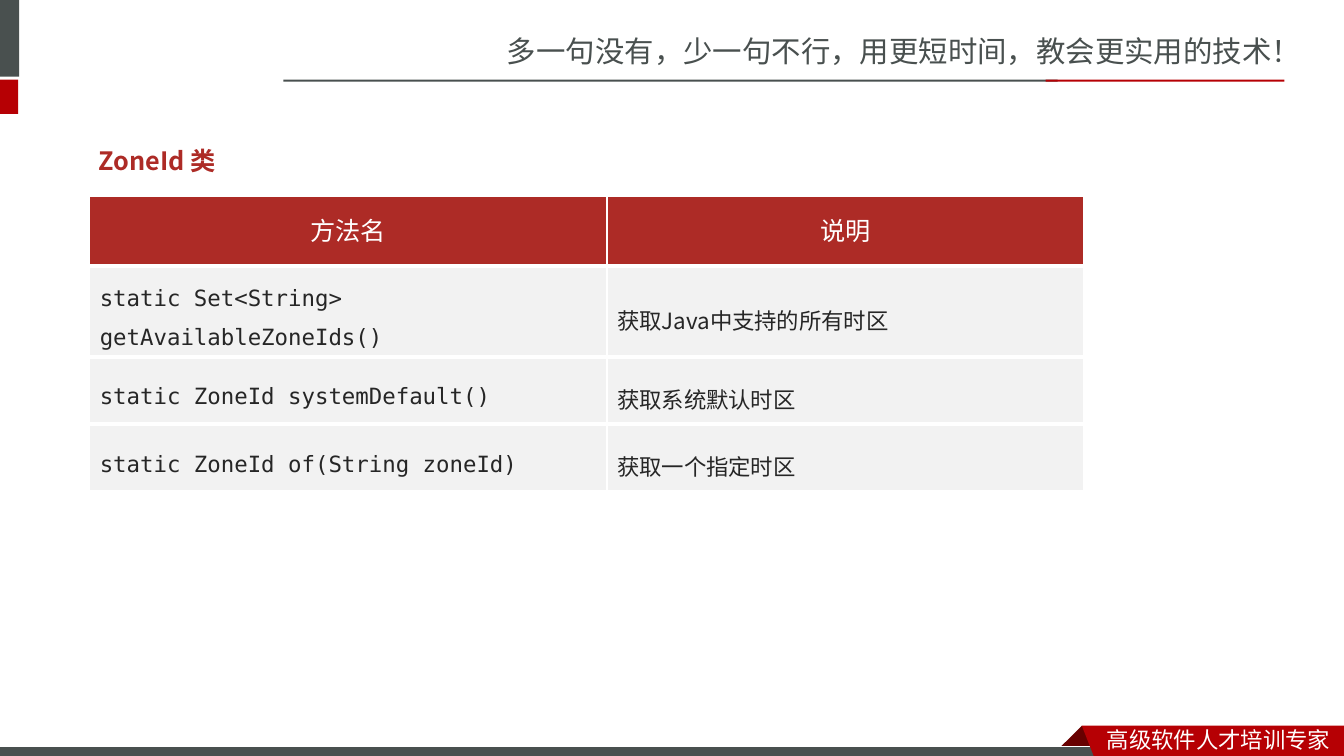
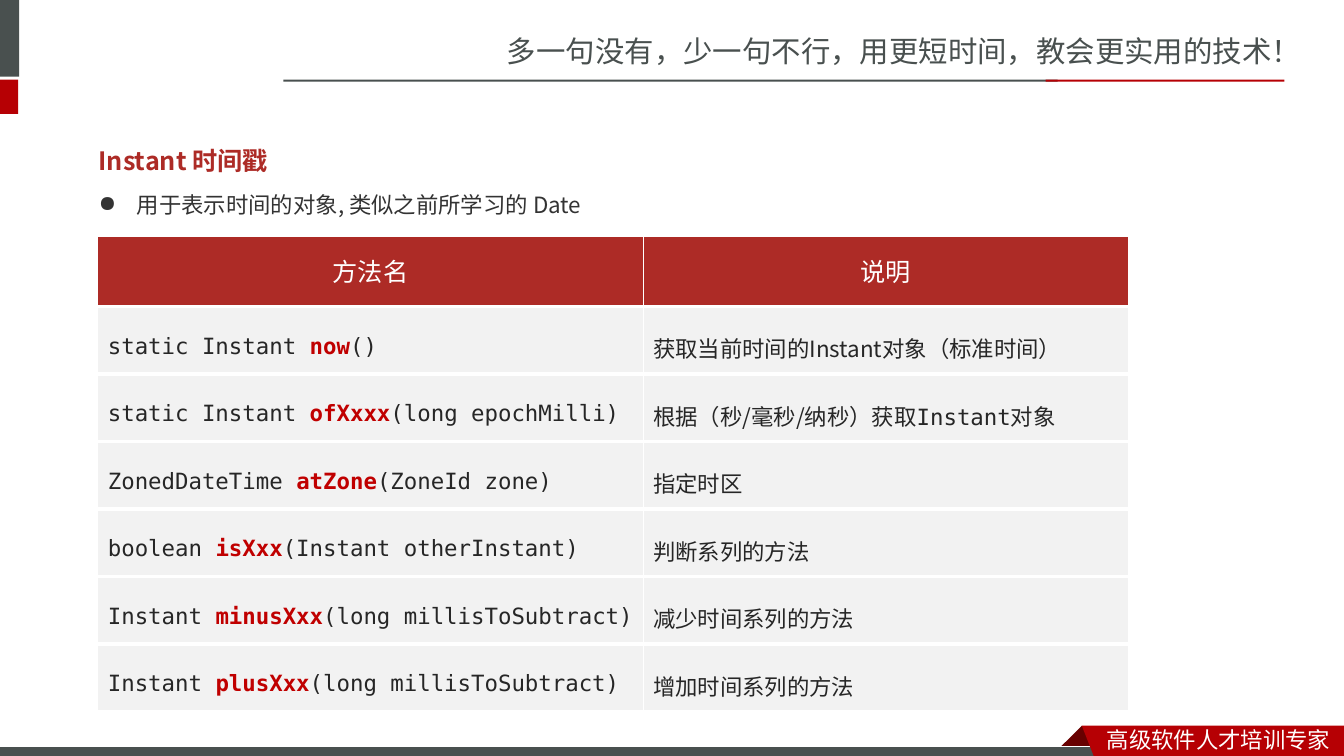
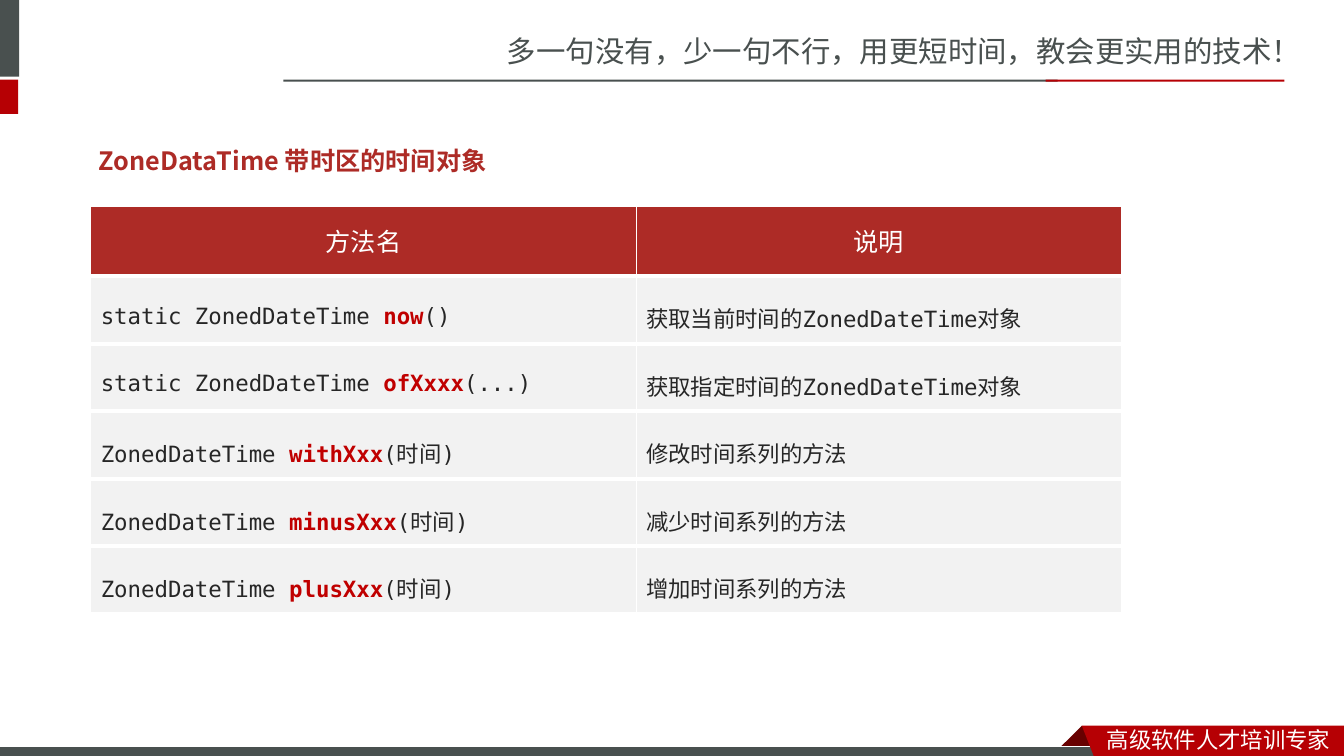
import dataclasses

import lxml.etree
import pptx
import pptx.dml.color
import pptx.enum.shapes
import pptx.enum.text
import pptx.oxml.ns
import pptx.util

Inches = pptx.util.Inches
Pt = pptx.util.Pt
qualified_name = pptx.oxml.ns.qn


@dataclasses.dataclass(frozen=True)
class Style:
    size: float
    font: str
    color: str
    bold: bool = False
    east_asian: str = "Noto Sans CJK JP"


class Theme:
    grey = "49504F"
    red = "B60004"
    dark_red = "680000"
    header_red = "AD2B26"
    row_grey = "F2F2F2"
    white = "FFFFFF"
    slogan = Style(21, "Noto Sans CJK SC", grey, east_asian="Noto Sans CJK SC")
    footer = Style(16, "Noto Sans CJK SC", white, east_asian="Noto Sans CJK SC")
    title = Style(18, "Noto Sans CJK JP", header_red, True)
    bullet = Style(16, "Noto Sans CJK JP", "333333")
    header = Style(18, "Roboto", white, east_asian="Noto Sans CJK SC")
    code = Style(16, "DejaVu Sans Mono", "262626")
    keyword = Style(16, "DejaVu Sans Mono", "C00000", True)
    note = Style(16, "Noto Sans CJK JP", "262626")
    thin_border = 1
    thick_border = 3


@dataclasses.dataclass(frozen=True)
class Box:
    left: float
    top: float
    width: float
    height: float

    def inner(self, left, top, width, height):
        return Box(self.left + left, self.top + top, width, height)

    def lengths(self):
        return [Inches(value) for value in (self.left, self.top, self.width, self.height)]


def rgb(color):
    return pptx.dml.color.RGBColor.from_string(color)


def format_run(run, style):
    run.font.size = Pt(style.size)
    run.font.bold = style.bold
    run.font.name = style.font
    run.font.color.rgb = rgb(style.color)
    latin = run.font._element.find(qualified_name("a:latin"))
    east_asian = lxml.etree.Element(qualified_name("a:ea"), typeface=style.east_asian)
    latin.addnext(east_asian)


def paint(shape, fill, line=None):
    shape.shadow.inherit = False
    shape.fill.solid()
    shape.fill.fore_color.rgb = rgb(fill)
    if line:
        shape.line.color.rgb = rgb(line)
        shape.line.width = Pt(0.75)
    else:
        shape.line.fill.background()


def add_bar(slide, box, fill, line=None):
    rectangle = pptx.enum.shapes.MSO_SHAPE.RECTANGLE
    paint(slide.shapes.add_shape(rectangle, *box.lengths()), fill, line)


def add_outline(slide, box, points, fill):
    corners = [(Inches(box.left + x), Inches(box.top + y)) for x, y in points]
    builder = slide.shapes.build_freeform(*corners[0], scale=1.0)
    builder.add_line_segments(corners[1:], close=True)
    paint(builder.convert_to_shape(), fill)


def add_text(slide, box, text, style, line_spacing=None):
    text_frame = slide.shapes.add_textbox(*box.lengths()).text_frame
    text_frame.word_wrap = True
    text_frame.auto_size = pptx.enum.text.MSO_AUTO_SIZE.SHAPE_TO_FIT_TEXT
    text_frame.text = text
    paragraph = text_frame.paragraphs[0]
    if line_spacing:
        paragraph.line_spacing = line_spacing
    format_run(paragraph.runs[0], style)
    return paragraph


def add_bullet(slide, box, text):
    paragraph = add_text(slide, box, text, Theme.bullet)
    properties = paragraph._p.get_or_add_pPr()
    indent = Inches(0.38)
    properties.set("marL", str(indent))
    properties.set("indent", str(-indent))
    lxml.etree.SubElement(properties, qualified_name("a:buChar"), char="●")


def add_heading_band(slide, box):
    slogan = "多一句没有，少一句不行，用更短时间，教会更实用的技术！"
    add_text(slide, box.inner(4.93, 0.28, 8.41, 0.47), slogan, Theme.slogan)
    add_bar(slide, box.inner(-0.06, 0, 0.25, 0.76), Theme.grey)
    add_bar(slide, box.inner(-0.06, 0.79, 0.24, 0.34), Theme.red)
    add_bar(slide, box.inner(2.81, 0.79, 7.68, 0.02), Theme.grey)
    add_bar(slide, box.inner(10.37, 0.79, 2.37, 0.02), Theme.red)


def add_footer(slide, box):
    fold = [(10.73, 0.05), (10.95, 0.27), (10.94, 0.28), (10.52, 0.28), (10.51, 0.27)]
    ribbon = [(10.73, 0.05), (13.33, 0.05), (13.33, 0.39), (10.86, 0.38)]
    add_outline(slide, box, fold, Theme.dark_red)
    add_bar(slide, box.inner(-0.01, 0.26, 11, 0.12), Theme.grey, Theme.white)
    add_outline(slide, box, ribbon, Theme.red)
    add_text(slide, box.inner(10.88, 0, 2.45, 0.37), "高级软件人才培训专家", Theme.footer)


def add_cell_borders(cell, top):
    properties = cell._tc.get_or_add_tcPr()
    widths = {
        "lnL": Theme.thin_border,
        "lnR": Theme.thin_border,
        "lnT": top,
        "lnB": Theme.thick_border,
    }
    for side, width in widths.items():
        line = lxml.etree.SubElement(properties, qualified_name("a:" + side), w=str(Pt(width)))
        fill = lxml.etree.SubElement(line, qualified_name("a:solidFill"))
        lxml.etree.SubElement(fill, qualified_name("a:srgbClr"), val=Theme.white)


def fill_cell(cell, parts, is_header):
    add_cell_borders(cell, Theme.thin_border if is_header else Theme.thick_border)
    cell.fill.solid()
    cell.fill.fore_color.rgb = rgb(Theme.header_red if is_header else Theme.row_grey)
    cell.vertical_anchor = pptx.enum.text.MSO_ANCHOR.MIDDLE
    paragraph = cell.text_frame.paragraphs[0]
    paragraph.line_spacing = Pt(24) if is_header else 1.5
    if is_header:
        paragraph.alignment = pptx.enum.text.PP_ALIGN.CENTER
    for text, style in parts:
        run = paragraph.add_run()
        run.text = text
        format_run(run, style)


def add_method_table(slide, left, top, column_widths, methods):
    header = ([("方法名", Theme.header)], [("说明", Theme.header)])
    rows = [header, *methods]
    row_heights = [0.69] + [0.67] * len(methods)
    box = Box(left, top, sum(column_widths), sum(row_heights))
    table = slide.shapes.add_table(len(rows), len(column_widths), *box.lengths()).table
    table.horz_banding = False
    for column, width in zip(table.columns, column_widths):
        column.width = Inches(width)
    for row_index, (parts_of_row, height) in enumerate(zip(rows, row_heights)):
        table.rows[row_index].height = Inches(height)
        for column_index, parts in enumerate(parts_of_row):
            fill_cell(table.cell(row_index, column_index), parts, row_index == 0)


def code(text):
    return (text, Theme.code)


def note(text):
    return (text, Theme.note)


def signature(before, name, arguments):
    return [code(before), (name, Theme.keyword), code(arguments)]


def time_signature(name):
    return signature("ZonedDateTime ", name, "(") + [note("时间"), code(")")]


def about_type(before, type_name):
    return [note(before), code(type_name), note("对象")]


def add_method_slide(presentation, title, table_left, table_top, column_widths, methods, bullet=None):
    slide = presentation.slides.add_slide(presentation.slide_layouts[6])
    add_heading_band(slide, Box(0, 0, 13.33, 1.13))
    add_footer(slide, Box(0, 7.15, 13.33, 0.35))
    content = Box(0.88, 1.09, 10.32, 6)
    add_text(slide, content.inner(0, 0, 5.12, 0.63), title, Theme.title, 2.0)
    if bullet:
        add_bullet(slide, content.inner(0, 0.76, 8.46, 0.37), bullet)
    add_method_table(slide, table_left, table_top, column_widths, methods)


def main():
    presentation = pptx.Presentation()
    presentation.slide_width = Inches(13.33)
    presentation.slide_height = Inches(7.5)
    wide_columns = (5.41, 4.81)

    zone_methods = [
        ([code("static Set<String> getAvailableZoneIds()")], [note("获取Java中支持的所有时区")]),
        ([code("static ZoneId systemDefault()")], [note("获取系统默认时区")]),
        ([code("static ZoneId of(String zoneId)")], [note("获取一个指定时区")]),
    ]
    add_method_slide(presentation, "ZoneId 类", 0.89, 1.95, (5.13, 4.73), zone_methods)

    instant_methods = [
        (signature("static Instant ", "now", "()"), [note("获取当前时间的Instant对象（标准时间）")]),
        (
            signature("static Instant ", "ofXxxx", "(long epochMilli)"),
            about_type("根据（秒/毫秒/纳秒）获取", "Instant"),
        ),
        (signature("ZonedDateTime ", "atZone", "(ZoneId zone)"), [note("指定时区")]),
        (signature("boolean ", "isXxx", "(Instant otherInstant)"), [note("判断系列的方法")]),
        (signature("Instant ", "minusXxx", "(long millisToSubtract)"), [note("减少时间系列的方法")]),
        (signature("Instant ", "plusXxx", "(long millisToSubtract)"), [note("增加时间系列的方法")]),
    ]
    add_method_slide(
        presentation, "Instant 时间戳", 0.97, 2.35, wide_columns, instant_methods,
        "用于表示时间的对象, 类似之前所学习的 Date",
    )

    zoned_methods = [
        (signature("static ZonedDateTime ", "now", "()"), about_type("获取当前时间的", "ZonedDateTime")),
        (signature("static ZonedDateTime ", "ofXxxx", "(...)"), about_type("获取指定时间的", "ZonedDateTime")),
        (time_signature("withXxx"), [note("修改时间系列的方法")]),
        (time_signature("minusXxx"), [note("减少时间系列的方法")]),
        (time_signature("plusXxx"), [note("增加时间系列的方法")]),
    ]
    add_method_slide(
        presentation, "ZoneDataTime 带时区的时间对象", 0.9, 2.05, wide_columns, zoned_methods
    )
    presentation.save("out.pptx")


if __name__ == "__main__":
    main()
